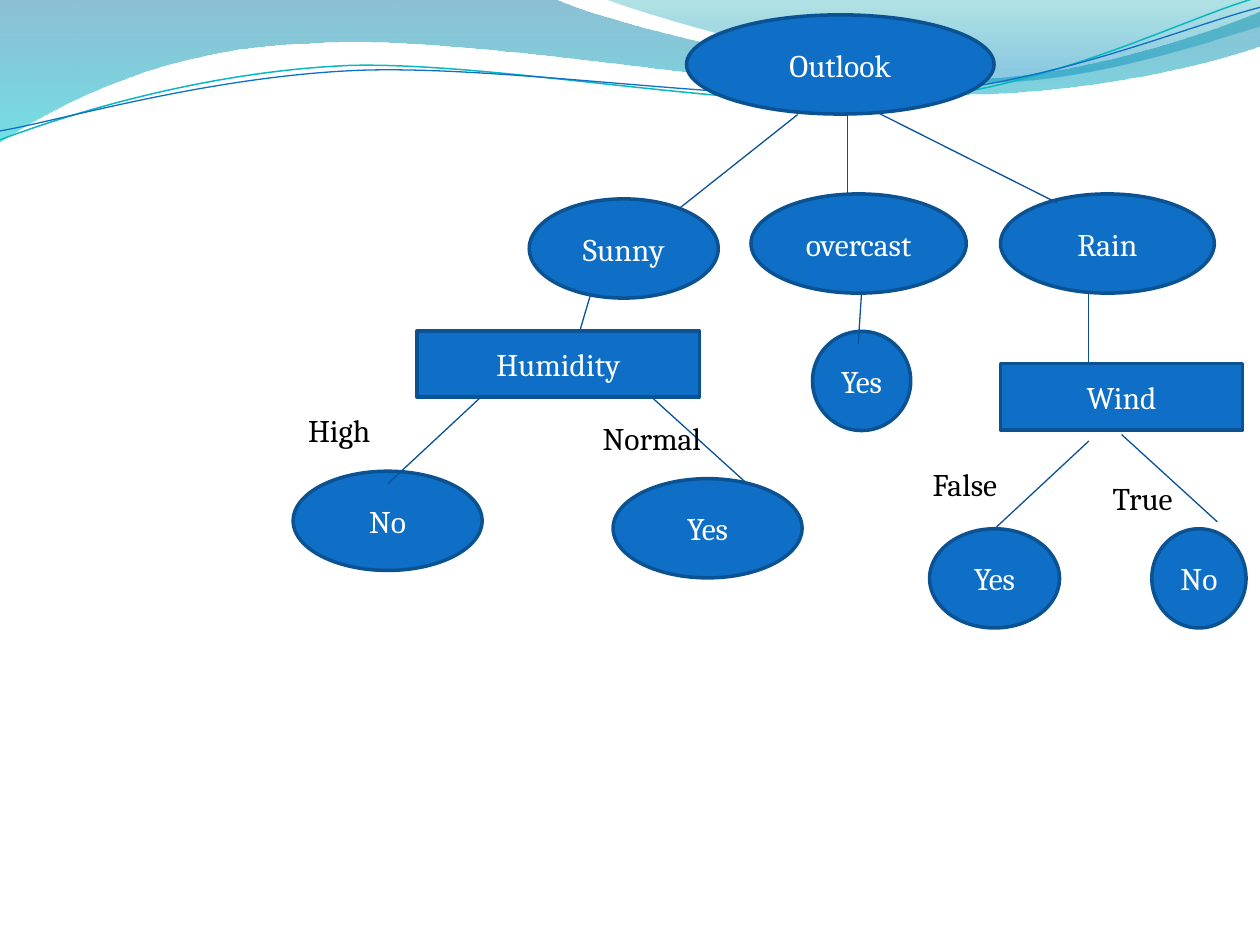
"""Build a slide with the weather decision tree under a wavy header."""
from dataclasses import dataclass

from lxml.etree import SubElement
from pptx import Presentation
from pptx.dml.color import RGBColor as Rgb
from pptx.enum.shapes import MSO_CONNECTOR as Link, MSO_SHAPE as Preset
from pptx.enum.text import MSO_ANCHOR as Anchor, MSO_AUTO_SIZE as AutoSize, PP_ALIGN as Align
from pptx.oxml.ns import qn
from pptx.util import Cm, Pt


@dataclass(frozen=True)
class Theme:
    font: str = "Cambria"
    size: Pt = Pt(18)
    node: Rgb = Rgb(0x0F, 0x6F, 0xC6)
    border: Rgb = Rgb(0x0B, 0x52, 0x92)
    branch: Rgb = Rgb(0x09, 0x52, 0x95)
    node_text: Rgb = Rgb(0xFF, 0xFF, 0xFF)
    label_text: Rgb = Rgb(0, 0, 0)
    teal: Rgb = Rgb(0x0A, 0xB8, 0xBF)
    deep_wave: tuple = ((0, "0074A1", 45), (1, "00C6CF", 55))
    pale_wave: tuple = ((0, "00A1A9", 30), (0.8, "008BBF", 45))


theme = Theme()


def add_wave(shapes, start, segments, close):
    corners = [(Cm(x), Cm(y)) for segment in segments for x, y in zip(segment[::2], segment[1::2])]
    builder = shapes.build_freeform(Cm(start[0]), Cm(start[1]))
    builder.add_line_segments(corners, close=close)
    wave = builder.convert_to_shape()
    wave.shadow.inherit = False
    steps = iter(list(wave.element.spPr.iter(qn("a:lnTo"))))
    for segment in segments:
        step = next(steps)
        if len(segment) == 6:
            step.tag = qn("a:cubicBezTo")
            for _ in range(2):
                control = next(steps)
                step.append(control[0])
                control.getparent().remove(control)
    return wave


def write(paragraph, text, color):
    run = paragraph.add_run()
    run.text = text
    run.font.name = theme.font
    run.font.size = theme.size
    run.font.color.rgb = color


deck = Presentation()
deck.slide_width, deck.slide_height = Cm(25.4), Cm(19.05)
slide = deck.slides.add_slide(deck.slide_layouts[6])
shapes = slide.shapes

bands = [
    (theme.deep_wave, (0, 0), [
        (11.18, -0.03), (12.09, 0.43, 16.87, 1.6, 19.25, 1.6),
        (21.67, 1.6, 24.33, 0.66, 25.4, 0.23), (25.43, 0.91),
        (24.97, 1.12, 22.1, 1.93, 18.95, 1.91), (15.8, 1.91, 9.7, 0.71, 6.53, 0.86),
        (3.28, 0.91, 1.17, 2.11, -0.03, 2.87), (0, 0)]),
    (theme.pale_wave, (12.17, -0.03), [
        (12.93, 0.28, 17.32, 1.57, 19.53, 1.65),
        (21.74, 1.75, 24.41, 0.81, 25.4, 0.53), (25.4, 0), (12.17, -0.03)]),
]
for stops, start, segments in bands:
    band = add_wave(shapes, start, segments, True)
    band.line.fill.background()
    band.fill.gradient()
    band.fill.gradient_angle = 270
    for stop, (position, color, _) in zip(band.fill.gradient_stops, stops):
        stop.position = position
        stop.color.rgb = Rgb.from_string(color)
    for tint, (_, _, opacity) in zip(band.element.spPr.iter(qn("a:srgbClr")), stops):
        SubElement(tint, qn("a:alpha"), val=str(opacity * 1000))

strands = [
    (theme.teal, 0.85, (0, 2.82), [
        (1.22, 2.36, 4.01, 1.45, 7.04, 1.32), (10.03, 1.24, 15.06, 2.26, 18.11, 2.03),
        (21.16, 1.8, 23.83, 0.38, 25.35, -0.05)]),
    (theme.node, 0.75, (0, 2.64), [
        (1.19, 2.44, 4.17, 1.55, 7.19, 1.42), (10.24, 1.3, 15.21, 2.13, 18.21, 1.91),
        (21.23, 1.7, 23.9, 0.53, 25.4, 0.15)]),
]
for color, weight, start, segments in strands:
    strand = add_wave(shapes, start, segments, False)
    strand.fill.background()
    strand.line.color.rgb = color
    strand.line.width = Pt(weight)

tree = [
    ("outlook", "Outlook", Preset.OVAL, 13.84, 0.3, 6.2, 2),
    ("sunny", "Sunny", Preset.OVAL, 10.67, 4.01, 3.81, 2),
    ("overcast", "overcast", Preset.OVAL, 15.14, 3.91, 4.34, 2),
    ("rain", "Rain", Preset.OVAL, 20.17, 3.91, 4.31, 2),
    ("humidity", "Humidity", Preset.RECTANGLE, 8.41, 6.67, 5.69, 1.34),
    ("overcast yes", "Yes", Preset.OVAL, 16.38, 6.68, 1.98, 2),
    ("wind", "Wind", Preset.RECTANGLE, 20.17, 7.33, 4.88, 1.34),
    ("high no", "No", Preset.OVAL, 5.91, 9.5, 3.81, 2),
    ("normal yes", "Yes", Preset.OVAL, 12.36, 9.65, 3.81, 2),
    ("false yes", "Yes", Preset.OVAL, 18.74, 10.66, 2.62, 2),
    ("true no", "No", Preset.OVAL, 23.22, 10.66, 1.9, 2),
]
nodes = {}
for key, text, preset, *box in tree:
    node = nodes[key] = shapes.add_shape(preset, *map(Cm, box))
    node.shadow.inherit = False
    node.fill.solid()
    node.fill.fore_color.rgb = theme.node
    node.line.color.rgb = theme.border
    node.line.width = Pt(2)
    node.text_frame.vertical_anchor = Anchor.MIDDLE
    node.text_frame.paragraphs[0].alignment = Align.CENTER
    write(node.text_frame.paragraphs[0], text, theme.node_text)

branches = {
    "sunny": (16.08, 2.31, 13.67, 4.22),
    "rain": (17.63, 2.24, 21.31, 4.09),
    "overcast": (17.08, 2.31, 17.08, 3.91),
    "humidity": (11.91, 5.92, 11.7, 6.63),
    "overcast yes": (17.37, 5.87, 17.3, 6.93),
    "wind": (21.94, 5.92, 21.94, 7.32),
    "high no": (9.7, 8, 7.82, 9.75),
    "normal yes": (13.13, 8, 15.06, 9.75),
    "false yes": (21.95, 8.89, 20.04, 10.64),
    "true no": (22.61, 8.76, 24.54, 10.52),
}
links = {}
for key, ends in branches.items():
    link = links[key] = shapes.add_connector(Link.STRAIGHT, *map(Cm, ends))
    link.line.color.rgb = theme.branch
    link.line.width = Pt(0.75)
    SubElement(link.element.spPr, qn("a:effectLst"))
links["false yes"].end_connect(nodes["false yes"], 0)

answers = [("High", 5.96, 8.17), ("Normal", 11.9, 8.32), ("True", 22.18, 9.54), ("False", 18.55, 9.25)]
for text, left, top in answers:
    answer = shapes.add_textbox(Cm(left), Cm(top), Cm(2.79), Cm(1.02))
    answer.text_frame.word_wrap = True
    answer.text_frame.auto_size = AutoSize.SHAPE_TO_FIT_TEXT
    write(answer.text_frame.paragraphs[0], text, theme.label_text)

deck.save("out.pptx")
